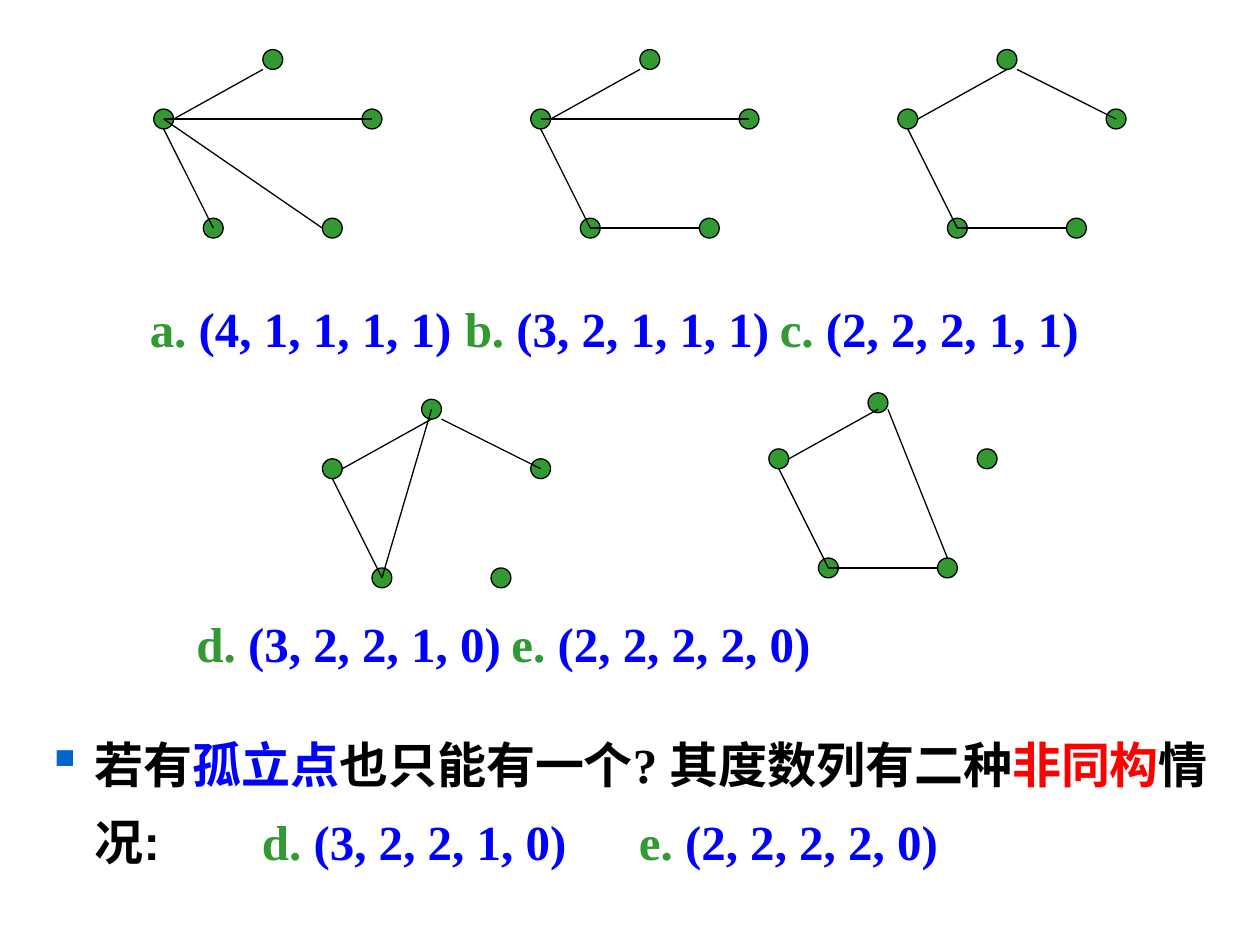
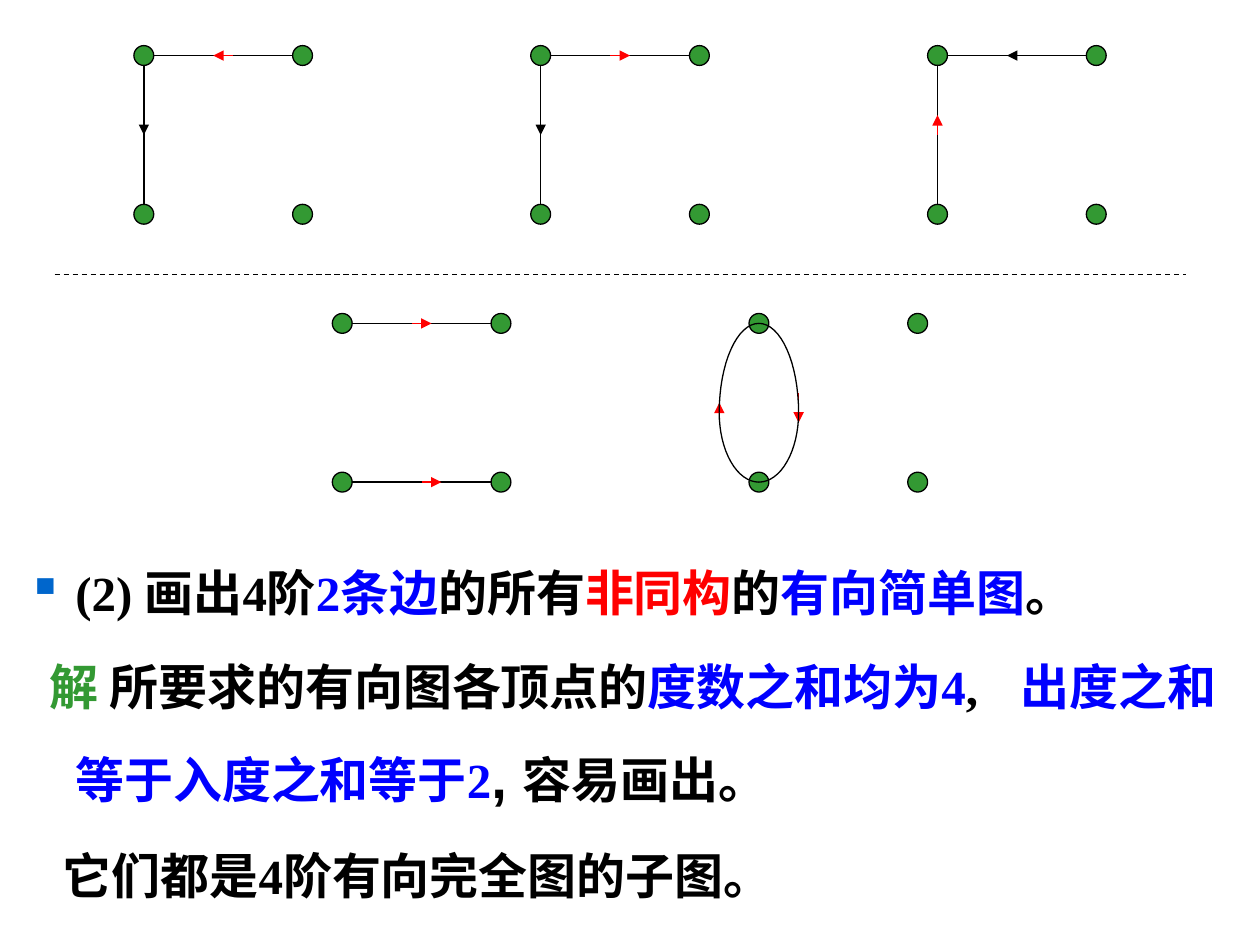
from math import cos, pi, sin

from lxml.etree import SubElement
from pptx import Presentation
from pptx.dml.color import RGBColor
from pptx.enum.dml import MSO_LINE_DASH_STYLE as Dash
from pptx.enum.shapes import MSO_CONNECTOR as Connector, MSO_SHAPE as Shape
from pptx.enum.text import MSO_AUTO_SIZE as AutoSize
from pptx.oxml.ns import qn
from pptx.util import Cm, Pt

COLORS = {"black": "000000", "green": "339933", "blue": "0000FF",
          "red": "FF0000", "bullet": "0066CC"}
SERIF, SANS = "Times New Roman", "Arial"
RADIUS = 0.2
HANG = 0.97

# Undirected graphs: all lengths in cm, measured from the left vertex
EDGES = {
    "top": ((2, -1), (0.2, 0)),
    "left": ((0, 0.2), (1, 2.2)),
    "bottom": ((1, 2.2), (3.2, 2.2)),
    "across": ((0, 0), (4.2, 0)),
    "diagonal": ((0, 0), (3.2, 2.2)),
    "roof": ((2.2, -1), (4.2, 0)),
    "steep": ((1, 2.2), (2, -1.2)),
    "side": ((2.2, -1), (3.4, 2)),
}
GRAPHS = [  # left vertex, top vertex, edges
    ((3.3, 2.4), (2.2, -1.2), ["top", "left", "diagonal", "across"]),
    ((10.9, 2.4), (2.2, -1.2), ["top", "left", "bottom", "across"]),
    ((18.3, 2.4), (2, -1.2), ["top", "left", "bottom", "roof"]),
    ((6.7, 9.45), (2, -1.2), ["top", "left", "steep", "roof"]),
    ((15.7, 9.25), (2, -1.13), ["top", "left", "bottom", "side"]),
]
OTHER_VERTICES = [(4.2, 0), (3.4, 2.2), (1, 2.2)]

# Directed graphs: squares of four vertices, measured from the top left one
SIDE = 3.2
TOP_EDGE = ((0, 0), (3, 0))
LEFT_EDGE = ((0, 0), (0, 3))
LOW_EDGE = ((0, SIDE), (3, SIDE))
LEFTWARD, RIGHTWARD = ((1.8, 0), (1.4, 0)), ((1.4, 0), (1.8, 0))
DOWNWARD, UPWARD = ((0, 1.2), (0, 1.6)), ((0, 1.6), (0, 1.2))
DIGRAPHS = [  # corner, edges, arrows with colour
    ((2.9, 1.12), [TOP_EDGE, LEFT_EDGE], [(DOWNWARD, "black"), (LEFTWARD, "red")]),
    ((10.9, 1.12), [TOP_EDGE, LEFT_EDGE], [(DOWNWARD, "black"), (RIGHTWARD, "red")]),
    ((18.9, 1.12), [TOP_EDGE, LEFT_EDGE], [(UPWARD, "red"), (LEFTWARD, "black")]),
    ((6.9, 6.52), [TOP_EDGE, LOW_EDGE],
     [(RIGHTWARD, "red"), (((1.6, SIDE), (2, SIDE)), "red")]),
    ((15.3, 6.52), [],
     [(((0.8, 1.4), (0.8, 2)), "red"), (((-0.8, 2), (-0.8, 1.6)), "red")]),
]
LOOP_CENTER, LOOP_WIDTH, LOOP_UP, LOOP_DOWN = (15.3, 8.32), 0.8, 1.8, 1.4
DIVIDER = ((1.1, 5.53), (23.9, 5.53))

# Text: paragraphs of (text, colour[, font[, size]]) runs
TOP_LABELS = [dict(tabs=[0.48, 8.55, 16.41], spacing=1.3, runs=[
    ("\ta.", "green"), (" (4, 1, 1, 1, 1)", "blue"),
    ("\tb.", "green"), (" (3, 2, 1, 1, 1)", "blue"),
    ("\tc.", "green"), (" (2, 2, 2, 1, 1)", "blue")])]
LOW_LABELS = [dict(tabs=[10.82], runs=[
    ("d.", "green"), (" (3, 2, 2, 1, 0)", "blue"),
    ("\te.", "green"), (" (2, 2, 2, 2, 0)", "blue")])]
ISOLATED = [dict(bullet="▪", margin=HANG, indent=-HANG, spacing=1.3,
                 tabs=[4.34, 11.94], runs=[
    ("若有", "black", SANS), ("孤立点", "blue", SANS),
    ("也只能有一个", "black", SANS), ("? ", "black"),
    ("其度数列有二种", "black", SANS), ("非同构", "red", SANS),
    ("情况:", "black", SANS), ("\td. ", "green"), ("(3, 2, 2, 1, 0)", "blue"),
    ("\te. ", "green"), ("(2, 2, 2, 2, 0)", "blue")])]
EXERCISE = [
    dict(bullet="▪", margin=HANG, indent=-HANG, spacing=1.3, runs=[
        ("(2) 画出4阶", "black"), ("2条边", "blue"), ("的所有", "black"),
        ("非同构", "red"), ("的", "black"), ("有向简单图", "blue"), ("。", "black")]),
    dict(margin=HANG, indent=-0.52, spacing=1.4, before=7, tabs=[20.17], runs=[
        ("解 ", "green"), ("所要求的有向图各顶点的", "black"),
        ("度数之和均为4", "blue"), (",\t", "black"),
        ("出度之和等于入度之和等于2", "blue"), (", ", "black", SANS, 32),
        ("容易画出。", "black")]),
    dict(margin=HANG, indent=-0.25, spacing=1.4, before=7, runs=[
        ("它们都是4阶有向完全图的子图。", "black")]),
]


def color(name):
    return RGBColor.from_string(COLORS[name])


def shift(origin, point):
    return origin[0] + point[0], origin[1] + point[1]


def add_dot(slide, center):
    x, y = center
    dot = slide.shapes.add_shape(Shape.OVAL, Cm(x - RADIUS), Cm(y - RADIUS),
                                 Cm(2 * RADIUS), Cm(2 * RADIUS))
    dot.shadow.inherit = False
    dot.fill.solid()
    dot.fill.fore_color.rgb = color("green")
    dot.line.color.rgb = color("black")
    dot.line.width = Pt(0.75)


def add_line(slide, ends, origin=(0, 0), line_color="black", arrow=False, dash=None):
    start, end = (shift(origin, point) for point in ends)
    line = slide.shapes.add_connector(Connector.STRAIGHT, *map(Cm, start + end))
    line.line.color.rgb = color(line_color)
    line.line.width = Pt(0.75)
    if dash:
        line.line.dash_style = dash
    if arrow:
        SubElement(line.line._get_or_add_ln(), qn("a:tailEnd"), type="triangle")
    SubElement(line._element.spPr, qn("a:effectLst"))


def add_quarter(slide, center, width, height, steps=16):
    """Draw a quarter ellipse from its pole to its side."""
    angles = [pi / 2 * step / steps for step in range(steps + 1)]
    points = [tuple(map(Cm, shift(center, (width * sin(a), height * cos(a)))))
              for a in angles]
    builder = slide.shapes.build_freeform(*points[0])
    builder.add_line_segments(points[1:], close=False)
    curve = builder.convert_to_shape()
    curve.shadow.inherit = False
    curve.fill.background()
    curve.line.color.rgb = color("black")
    curve.line.width = Pt(0.75)


def format_paragraph(paragraph, bullet=None, margin=0, indent=0, tabs=(),
                     spacing=1.0, before=0):
    properties = paragraph._p.get_or_add_pPr()
    properties.set("marL", str(Cm(margin)))
    properties.set("indent", str(Cm(indent)))
    if bullet:
        bullet_color = SubElement(properties, qn("a:buClr"))
        SubElement(bullet_color, qn("a:srgbClr"), val=COLORS["bullet"])
        SubElement(properties, qn("a:buChar"), char=bullet)
    else:
        SubElement(properties, qn("a:buNone"))
    if tabs:
        tab_list = SubElement(properties, qn("a:tabLst"))
        for position in tabs:
            SubElement(tab_list, qn("a:tab"), pos=str(Cm(position)), algn="l")
    paragraph.line_spacing = spacing
    paragraph.space_before = Pt(before)


def add_text(slide, paragraphs, left, top, width, height, grow=False):
    box = slide.shapes.add_textbox(Cm(left), Cm(top), Cm(width), Cm(height))
    frame = box.text_frame
    frame.word_wrap = True
    frame.auto_size = AutoSize.SHAPE_TO_FIT_TEXT if grow else AutoSize.NONE
    for index, content in enumerate(paragraphs):
        paragraph = frame.add_paragraph() if index else frame.paragraphs[0]
        layout = {key: value for key, value in content.items() if key != "runs"}
        format_paragraph(paragraph, **layout)
        for text, text_color, *style in content["runs"]:
            run = paragraph.add_run()
            run.text = text
            run.font.name = style[0] if style else SERIF
            run.font.size = Pt(style[1] if len(style) > 1 else 28)
            run.font.bold = True
            run.font.color.rgb = color(text_color)


def build_degree_slide(slide):
    for origin, top_vertex, edges in GRAPHS:
        for vertex in [(0, 0), top_vertex, *OTHER_VERTICES]:
            add_dot(slide, shift(origin, vertex))
        for edge in edges:
            add_line(slide, EDGES[edge], origin)
    add_text(slide, TOP_LABELS, 1.5, 5.54, 23.22, 1.8, grow=True)
    add_text(slide, LOW_LABELS, 3.71, 12.24, 17.81, 1.45, grow=True)
    add_text(slide, ISOLATED, 0.69, 14.33, 24.23, 3.81)


def build_digraph_slide(slide):
    add_text(slide, EXERCISE, 0.3, 10.85, 24.99, 7.47)
    for corner, edges, arrows in DIGRAPHS:
        for edge in edges:
            add_line(slide, edge, corner)
        for x in (0, SIDE):
            for y in (0, SIDE):
                add_dot(slide, shift(corner, (x, y)))
        for ends, arrow_color in arrows:
            add_line(slide, ends, corner, line_color=arrow_color, arrow=True)
    # Two opposite edges drawn as a loop
    for width in (-LOOP_WIDTH, LOOP_WIDTH):
        for height in (-LOOP_UP, LOOP_DOWN):
            add_quarter(slide, LOOP_CENTER, width, height)
    add_line(slide, DIVIDER, dash=Dash.DASH)


def main():
    presentation = Presentation()
    presentation.slide_width, presentation.slide_height = Cm(25.4), Cm(19.05)
    for build in (build_degree_slide, build_digraph_slide):
        build(presentation.slides.add_slide(presentation.slide_layouts[6]))
    presentation.save("out.pptx")


if __name__ == "__main__":
    main()
